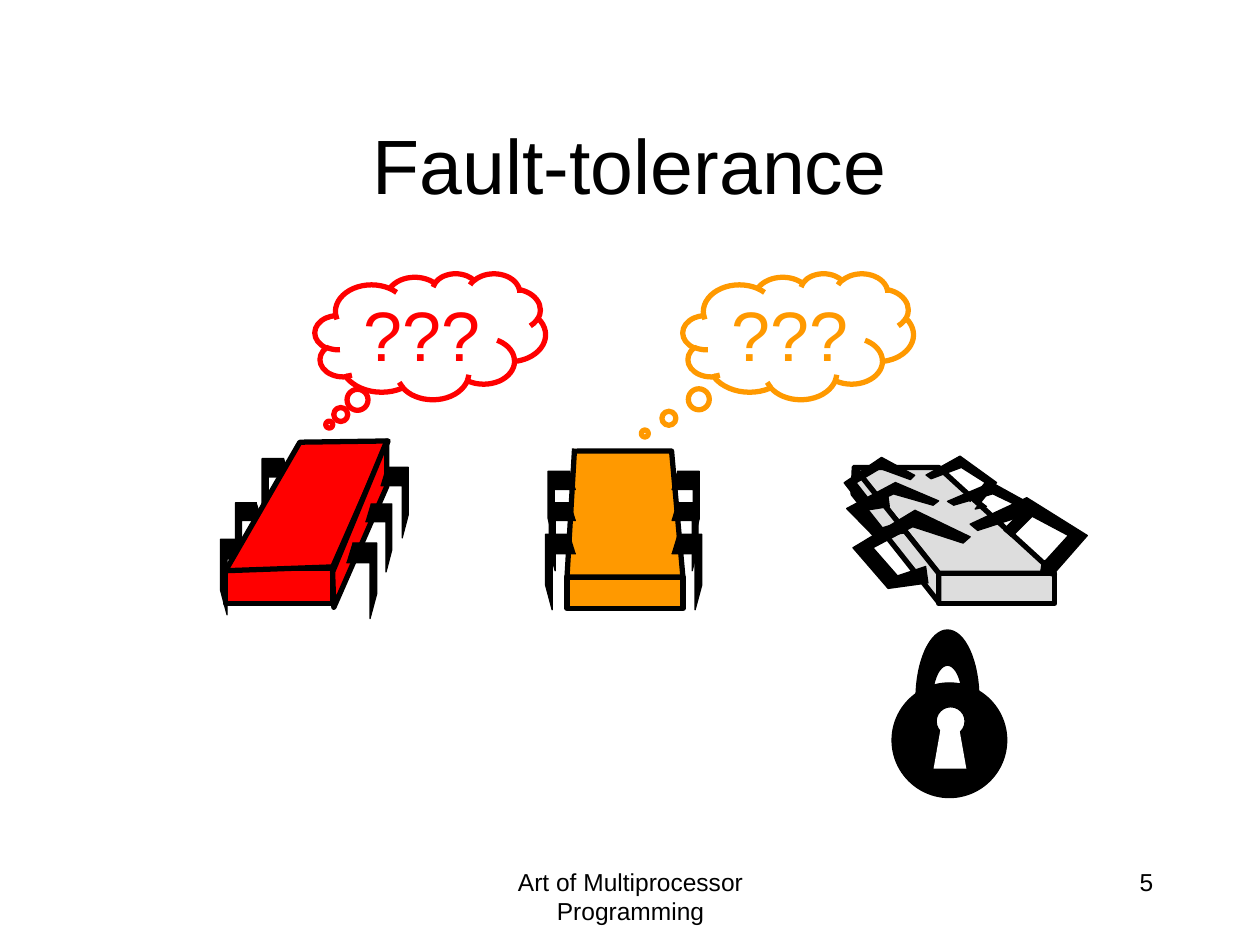
from dataclasses import dataclass
from math import cos, pi, sin

from pptx import Presentation
from pptx.dml.color import RGBColor
from pptx.enum.shapes import MSO_SHAPE
from pptx.enum.text import MSO_ANCHOR, PP_ALIGN
from pptx.shapes.autoshape import Shape
from pptx.shapes.shapetree import GroupShapes
from pptx.util import Inches, Pt

COLORS = {
    "black": "000000",
    "white": "FFFFFF",
    "red": "FF0000",
    "orange": "FF9900",
    "grey": "DDDDDD",
}
Points = list[tuple[float, float]]
THICK, THIN = 3, 0.75

LEG = [(0.8, 0), (0, 0), (0, 0.67), (0.22, 1), (0.22, 0.26), (1, 0.26)]
BENT_LIMB = [
    (0.62, 0.72), (0.64, 0.93), (0.3, 1), (0, 0.48), (0.53, 0), (1, 0.34),
    (0.94, 0.42), (0.51, 0.21), (0.17, 0.48), (0.38, 0.84), (0.62, 0.72),
]
RIGHT_LIMBS = [
    [(7.94, 4.13), (7.97, 4.21), (8.03, 4.26), (8.25, 4.04), (7.87, 3.83), (7.52, 3.98),
     (7.57, 4.01), (7.88, 3.92), (8.13, 4.04), (7.98, 4.19), (7.94, 4.13)],
    [(7.7, 3.92), (7.83, 4.02), (7.74, 4.04), (7.91, 3.83), (7.62, 3.62), (7.35, 3.77),
     (7.39, 3.8), (7.63, 3.71), (7.82, 3.83), (7.7, 3.98), (7.7, 3.92)],
    [(8.31, 4.49), (8.27, 4.48), (8.26, 4.54), (8.35, 4.57), (8.63, 4.25), (8.15, 3.95),
     (7.7, 4.16), (7.76, 4.21), (8.16, 4.08), (8.48, 4.25), (8.28, 4.47), (8.31, 4.45),
     (8.24, 4.45), (8.31, 4.49)],
]


@dataclass(frozen=True)
class Limb:
    """Place and size of one limb in inches."""

    left: float
    top: float
    width: float
    height: float
    mirrored: bool = False


@dataclass(frozen=True)
class Robot:
    """Front panel, panels around it and limbs of one robot."""

    color: str
    front: tuple[float, float, float, float]
    panels: list[Points]
    limbs: list[Limb]
    outline: list[tuple[float, float]]


@dataclass(frozen=True)
class Thought:
    """Thought cloud with its colour and tail."""

    left: float
    color: str
    tail: tuple[float, float]


RED_ROBOT = Robot(
    "red", (1.79, 4.51, 0.85, 0.28),
    [[(1.79, 4.53), (2.64, 4.5), (3.08, 3.5), (2.38, 3.51), (1.79, 4.53)],
     [(3.07, 3.5), (3.07, 3.86), (2.65, 4.82), (2.64, 4.54), (3.07, 3.5)]],
    [Limb(1.75, 4.28, 0.24, 0.6), Limb(1.87, 3.99, 0.21, 0.54), Limb(2.08, 3.64, 0.22, 0.56),
     Limb(2.75, 4.31, 0.24, 0.6, True), Limb(2.9, 4, 0.21, 0.54, True),
     Limb(3.02, 3.71, 0.22, 0.56, True)],
    LEG,
)
GREY_ROBOT = Robot(
    "grey", (7.45, 4.55, 0.92, 0.24),
    [[(6.78, 3.71), (7.45, 4.55), (8.37, 4.55), (7.45, 3.71), (6.78, 3.71)],
     [(6.78, 3.71), (6.77, 3.92), (7.45, 4.78), (7.45, 4.55), (6.78, 3.71)]],
    [Limb(6.77, 4.05, 0.93, 0.62), Limb(6.72, 3.83, 0.73, 0.43), Limb(6.7, 3.63, 0.56, 0.42)],
    BENT_LIMB,
)
ORANGE_ROBOT = Robot(
    "orange", (4.5, 4.58, 0.92, 0.25),
    [[(4.58, 3.58), (5.33, 3.58), (5.42, 4.58), (4.5, 4.58), (4.56, 3.56)]],
    [Limb(5.33, 4.24, 0.24, 0.6, True), Limb(5.33, 3.99, 0.21, 0.54, True),
     Limb(5.33, 3.74, 0.22, 0.56, True), Limb(4.33, 4.24, 0.24, 0.6),
     Limb(4.36, 3.99, 0.21, 0.54), Limb(4.35, 3.74, 0.22, 0.56)],
    LEG,
)


def paint(shape: Shape, fill: str | None, line: str | None, width: float) -> None:
    """Set fill and line and remove the shadow."""
    shape.shadow.inherit = False
    if fill:
        shape.fill.solid()
        shape.fill.fore_color.rgb = RGBColor.from_string(COLORS[fill])
    else:
        shape.fill.background()
    if line:
        shape.line.color.rgb = RGBColor.from_string(COLORS[line])
        shape.line.width = Pt(width)
    else:
        shape.line.fill.background()


def add_preset(shapes: GroupShapes, kind: MSO_SHAPE, place: tuple[float, float, float, float],
               fill: str | None, line: str | None = "black", width: float = THIN) -> Shape:
    """Draw a preset shape."""
    shape = shapes.add_shape(kind, *(Inches(length) for length in place))
    paint(shape, fill, line, width)
    return shape


def add_outline(shapes: GroupShapes, points: Points, fill: str,
                line: str | None = "black", width: float = THIN) -> None:
    """Draw a freeform, closed when it ends where it starts."""
    closed = points[0] == points[-1]
    corners = [(Inches(x), Inches(y)) for x, y in points]
    builder = shapes.build_freeform(*corners[0], scale=1.0)
    builder.add_line_segments(corners[1:-1] if closed else corners[1:], close=closed)
    paint(builder.convert_to_shape(), fill, line, width)


def write(shape: Shape, text: str, *, size: float, color: str = "black",
          align: PP_ALIGN = PP_ALIGN.CENTER, anchor: MSO_ANCHOR = MSO_ANCHOR.MIDDLE) -> None:
    """Put formatted text into a shape."""
    frame = shape.text_frame
    frame.word_wrap = True
    frame.vertical_anchor = anchor
    para = frame.paragraphs[0]
    para.alignment = align
    span = para.add_run()
    span.text = text
    span.font.name = "Arial"
    span.font.size = Pt(size)
    span.font.color.rgb = RGBColor.from_string(COLORS[color])


def add_limb(shapes: GroupShapes, limb: Limb, outline: Points) -> None:
    """Fit a unit outline to the place of a limb."""
    points = [(limb.left + limb.width * (1 - x if limb.mirrored else x),
               limb.top + limb.height * y) for x, y in outline]
    add_outline(shapes, points, "black")


def add_robot(shapes: GroupShapes, robot: Robot) -> None:
    """Draw the body and limbs of a robot."""
    split = 3 if robot is RED_ROBOT else 0
    add_preset(shapes, MSO_SHAPE.RECTANGLE, robot.front, robot.color, width=THICK)
    for limb in robot.limbs[:split]:
        add_limb(shapes, limb, robot.outline)
    for panel in robot.panels:
        add_outline(shapes, panel, robot.color, width=THICK)
    for limb in robot.limbs[split:]:
        add_limb(shapes, limb, robot.outline)


def add_thought(shapes: GroupShapes, thought: Thought) -> None:
    """Draw a thought cloud with question marks."""
    cloud = add_preset(shapes, MSO_SHAPE.CLOUD_CALLOUT, (thought.left, 2.17, 1.83, 1),
                       None, thought.color, THICK)
    cloud.adjustments[0], cloud.adjustments[1] = thought.tail
    write(cloud, "???", size=40, color=thought.color)


def arch(radius_x: float, radius_y: float, steps: int = 32) -> Points:
    """Return the upper half of an ellipse from left to right."""
    angles = [pi * (1 - step / steps) for step in range(steps + 1)]
    return [(7.52 + radius_x * cos(angle), 5.55 - radius_y * sin(angle)) for angle in angles]


def add_padlock(shapes: GroupShapes) -> None:
    """Draw the padlock with keyhole and shackle."""
    add_preset(shapes, MSO_SHAPE.OVAL, (7.08, 5.42, 0.91, 0.91), "black")
    add_preset(shapes, MSO_SHAPE.OVAL, (7.43, 5.61, 0.23, 0.23), "white")
    keyhole = [(7.41, 6.1), (7.47, 5.76), (7.61, 5.76), (7.67, 6.1), (7.41, 6.1)]
    add_outline(shapes, keyhole, "white", None)
    inner = arch(0.12, 0.27)
    add_outline(shapes, inner + arch(0.25, 0.55)[::-1] + inner[:1], "black")


def main() -> None:
    """Build and save the slide."""
    deck = Presentation()
    deck.slide_width, deck.slide_height = Inches(10), Inches(7.5)
    page = deck.slides.add_slide(deck.slide_layouts[6])
    texts = [
        ("Art of Multiprocessor Programming", (3.42, 6.83, 3.17, 0.5), 14, PP_ALIGN.CENTER, MSO_ANCHOR.TOP),
        ("5", (7.17, 6.83, 2.08, 0.5), 14, PP_ALIGN.RIGHT, MSO_ANCHOR.TOP),
        ("Fault-tolerance", (0.75, 0.67, 8.5, 1.25), 44, PP_ALIGN.CENTER, MSO_ANCHOR.MIDDLE),
    ]
    for text, place, size, align, anchor in texts:
        box = page.shapes.add_textbox(*(Inches(length) for length in place))
        write(box, text, size=size, align=align, anchor=anchor)
    add_robot(page.shapes.add_group_shape().shapes, RED_ROBOT)
    add_thought(page.shapes, Thought(2.5, "red", (-0.438, 0.7)))
    crashed = page.shapes.add_group_shape().shapes
    add_robot(crashed, GREY_ROBOT)
    for points in RIGHT_LIMBS:
        add_outline(crashed, points, "black")
    add_padlock(page.shapes.add_group_shape().shapes)
    add_thought(page.shapes, Thought(5.42, "orange", (-0.665, 0.771)))
    add_robot(page.shapes.add_group_shape().shapes, ORANGE_ROBOT)
    deck.save("out.pptx")


if __name__ == "__main__":
    main()
